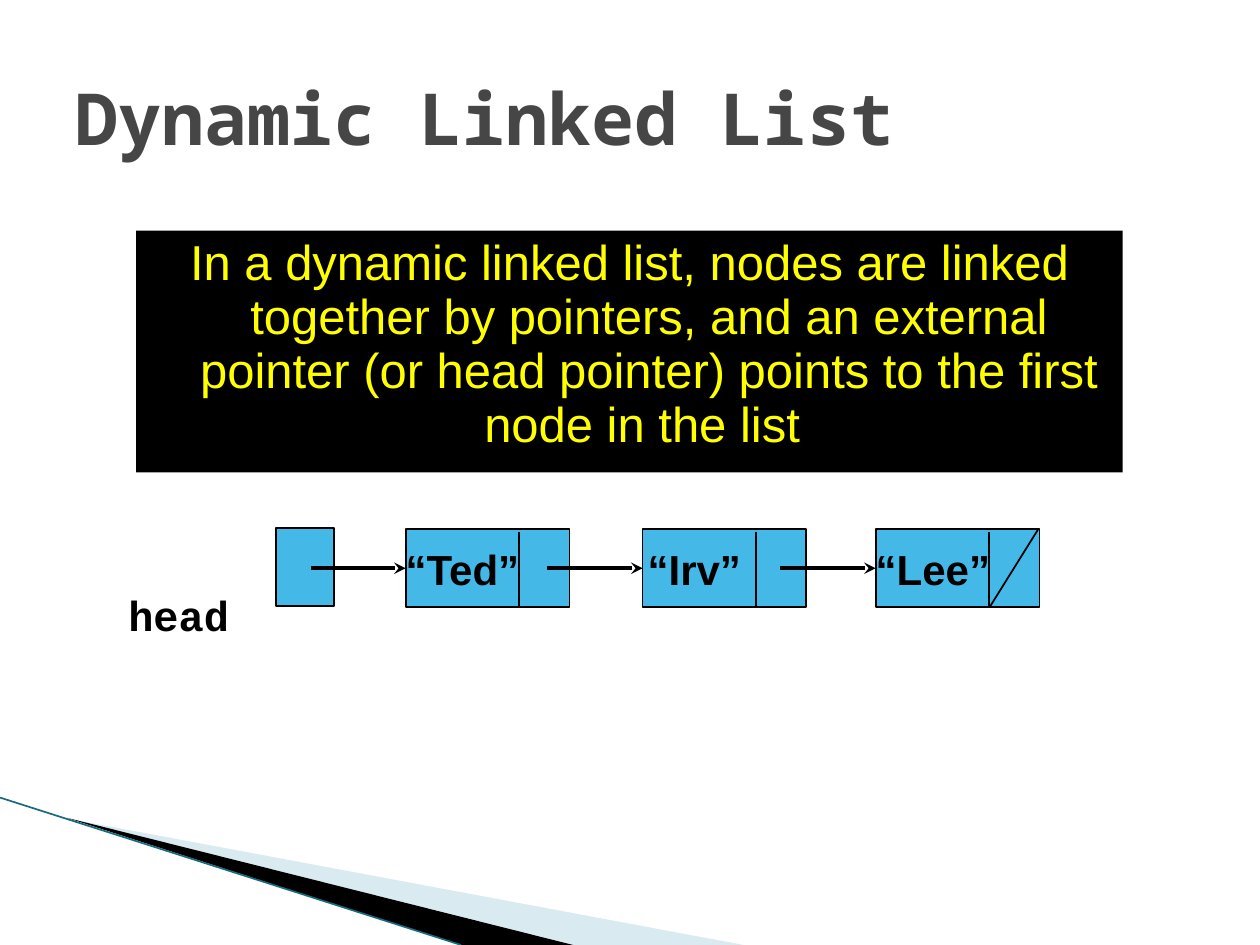
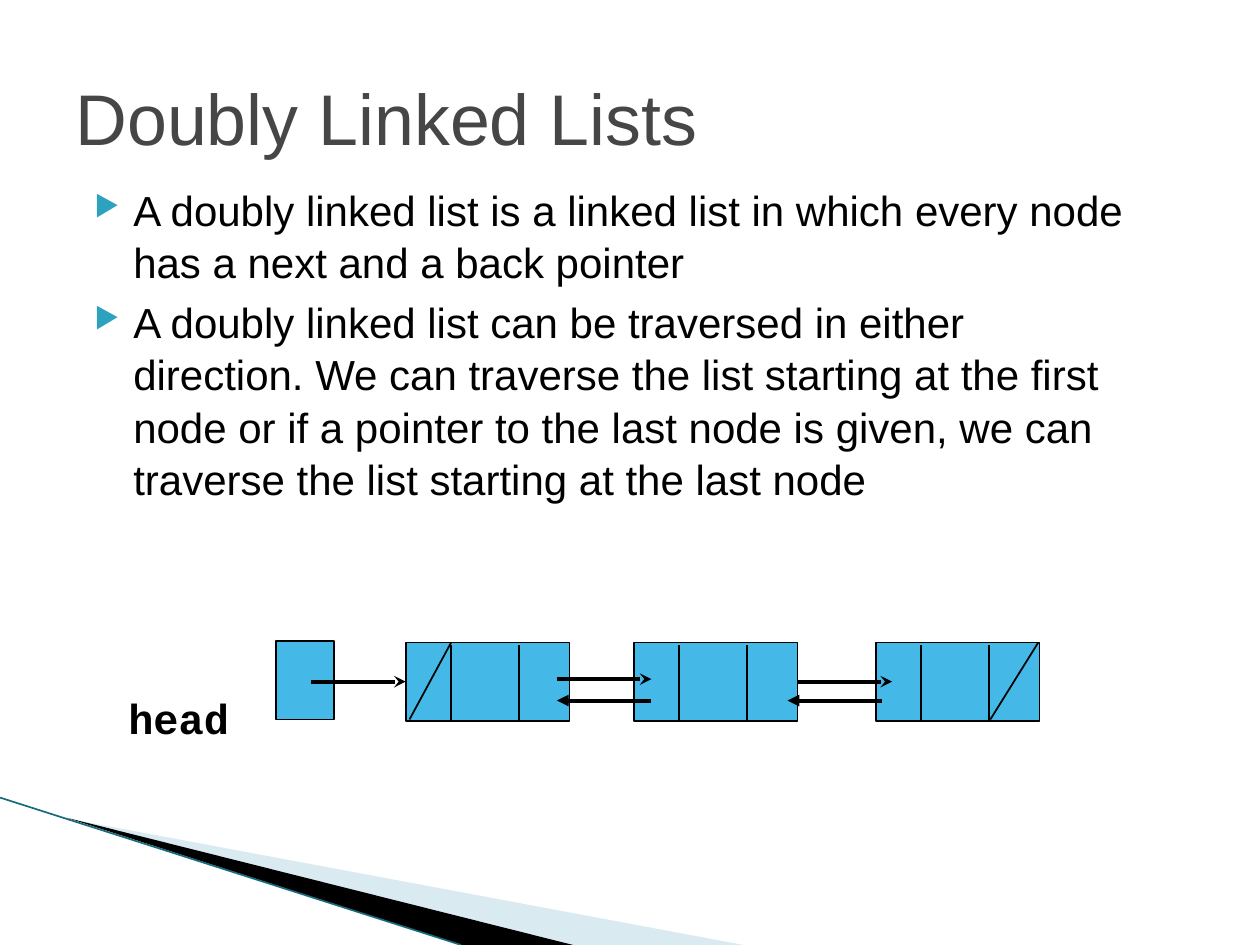
from pptx import Presentation
from pptx.dml.color import RGBColor
from pptx.enum.shapes import MSO_CONNECTOR, MSO_SHAPE
from pptx.enum.text import MSO_ANCHOR, PP_ALIGN
from pptx.oxml.ns import qn
from pptx.util import Inches, Pt
from lxml import etree

WHITE = RGBColor(0xFF, 0xFF, 0xFF)
BLACK = RGBColor(0, 0, 0)
YELLOW = RGBColor(0xFF, 0xFF, 0)
GREY = RGBColor(0x46, 0x46, 0x46)
NODE_BLUE = RGBColor(0x44, 0xB9, 0xE8)
PALE_BLUE = RGBColor(0xA0, 0xCB, 0xDC)
TEAL = RGBColor(0x17, 0x6B, 0x7E)
BULLET_HEX = "2DA2BF"

RECT = MSO_SHAPE.RECTANGLE
STRAIGHT = MSO_CONNECTOR.STRAIGHT
TOP, MIDDLE = MSO_ANCHOR.TOP, MSO_ANCHOR.MIDDLE
LEFT, CENTER = PP_ALIGN.LEFT, PP_ALIGN.CENTER
LEFT_SIDE, RIGHT_SIDE = 1, 3

NODE_W, NODE_H = 1.3, 0.62
BACK_X, NEXT_X = 0.36, 0.9
HANGING = 0.31
LABEL = {"name": "Arial", "size": Pt(24), "bold": True, "color": BLACK}
BODY = {"name": "Arial", "size": Pt(24), "color": BLACK}
CODE = {"name": "Courier New", "size": Pt(24), "bold": True, "color": BLACK}
CALLOUT = {"name": "Arial", "size": Pt(28), "color": YELLOW}
TITLE = {"name": "Arial", "size": Pt(41), "color": GREY}
CODE_TITLE = {**TITLE, "name": "Noto Sans Mono", "bold": True}


def sub(parent, tag, **attrs):
    el = etree.SubElement(parent, qn(tag))
    for key, value in attrs.items():
        el.set(key, value)
    return el


class Deck:
    def __init__(self):
        self.prs = Presentation()
        self.prs.slide_width = Inches(10)
        self.prs.slide_height = Inches(7.5)
        self.s = None

    def slide(self, title, style):
        self.s = self.prs.slides.add_slide(self.prs.slide_layouts[6])
        fill = self.s.background.fill
        fill.solid()
        fill.fore_color.rgb = WHITE
        self.wedge([(0.55, 6.5), (5.9, 7.5), (4.56, 7.5)], PALE_BLUE, 40)
        self.wedge([(0.53, 6.49), (4.55, 7.5), (3.66, 7.5)], BLACK)
        self.line((0, 6.33), (3.66, 7.5), TEAL, 0.95)
        self.text(title, 0.5, 0.3, 9, 1.25, style, MIDDLE)

    def wedge(self, points, color, opacity=100):
        (x, y), *rest = [(Inches(px), Inches(py)) for px, py in points]
        fb = self.s.shapes.build_freeform(x, y)
        fb.add_line_segments(rest, close=True)
        sp = fb.convert_to_shape()
        self.paint(sp, color)
        if opacity < 100:
            clr = sp.fill._xPr.find(qn("a:solidFill"))[0]
            sub(clr, "a:alpha", val=str(opacity * 1000))

    def paint(self, sp, color, outlined=False):
        sp.shadow.inherit = False
        sp.fill.solid()
        sp.fill.fore_color.rgb = color
        if outlined:
            sp.line.color.rgb = BLACK
            sp.line.width = Pt(1)
        else:
            sp.line.fill.background()

    def rect(self, x, y, w, h, color, outlined=False):
        sp = self.s.shapes.add_shape(RECT, *map(Inches, (x, y, w, h)))
        self.paint(sp, color, outlined)
        return sp

    def line(self, start, end, color=BLACK, width=1, head=None, tail=None):
        ends = map(Inches, (*start, *end))
        cxn = self.s.shapes.add_connector(STRAIGHT, *ends)
        cxn.line.color.rgb = color
        cxn.line.width = Pt(width)
        ln = cxn.line._get_or_add_ln()
        for tag, kind in (("a:headEnd", head), ("a:tailEnd", tail)):
            if kind:
                sub(ln, tag, type=kind)
        sub(cxn._element.spPr, "a:effectLst")
        return cxn

    def arrow(self, x, y, length=0.75, back=False):
        ends = {"head": "triangle"} if back else {"tail": "stealth"}
        return self.line((x, y), (x + length, y), width=2.25, **ends)

    def format(self, p, style, align=LEFT):
        p.alignment = align
        font = p.runs[0].font
        for key, value in style.items():
            if key == "color":
                font.color.rgb = value
            else:
                setattr(font, key, value)

    def fill_text(self, tf, text, style, anchor=TOP, align=LEFT, wrap=True):
        tf.word_wrap = wrap
        tf.vertical_anchor = anchor
        p = tf.paragraphs[0]
        p.add_run().text = text
        self.format(p, style, align)
        return p

    def text(self, text, x, y, w, h, style, anchor=TOP):
        sp = self.s.shapes.add_textbox(*map(Inches, (x, y, w, h)))
        self.fill_text(sp.text_frame, text, style, anchor)

    def hang(self, p):
        pPr = p._p.get_or_add_pPr()
        pPr.set("marL", str(Inches(HANGING)))
        pPr.set("indent", str(-Inches(HANGING)))
        return pPr

    def callout(self, text, x, y, w, h):
        sp = self.rect(x, y, w, h, BLACK)
        p = self.fill_text(sp.text_frame, text, CALLOUT, align=CENTER)
        self.hang(p)
        p.line_spacing = 0.92

    def bullets(self, items, x, y, w, h):
        sp = self.s.shapes.add_textbox(*map(Inches, (x, y, w, h)))
        tf = sp.text_frame
        tf.word_wrap = True
        for i, item in enumerate(items):
            p = tf.add_paragraph() if i else tf.paragraphs[0]
            pPr = self.hang(p)
            sub(sub(pPr, "a:buClr"), "a:srgbClr", val=BULLET_HEX)
            sub(pPr, "a:buSzPct", val="68000")
            sub(pPr, "a:buChar", char="▶")
            p.add_run().text = item
            self.format(p, BODY)
            p.line_spacing = 1.04
            if i:
                p.space_before = Pt(4)

    def node(self, x, y, dividers, slash=None, label=None, inset=0.0):
        sp = self.rect(x, y, NODE_W, NODE_H, NODE_BLUE, True)
        for dx in dividers:
            self.line((x + dx, y + 0.02), (x + dx, y + NODE_H))
        if slash:
            upper, lower = slash
            self.line((x + upper, y), (x + lower, y + NODE_H - 0.01))
        if label:
            tf = sp.text_frame
            tf.margin_left = Inches(inset)
            self.fill_text(tf, label, LABEL, MIDDLE, wrap=False)
        return sp

    def head(self, y, label_y):
        self.rect(2.19, y - 0.01, 0.46, NODE_H, NODE_BLUE, True)
        self.text("head", 0.92, label_y, 1.2, 0.5, CODE)


def dynamic_list(deck):
    deck.slide("Dynamic Linked List", CODE_TITLE)
    y = 4.2
    mid = y + NODE_H / 2
    deck.head(y, 4.63)
    end_slash = (1.29, NEXT_X + 0.01)
    nodes = [
        deck.node(3.22, y, [NEXT_X], label="“Ted”"),
        deck.node(5.1, y, [NEXT_X], label="“Irv”", inset=0.04),
        deck.node(6.95, y, [NEXT_X], end_slash, "“Lee”"),
    ]
    for x, node in zip((2.47, 4.34, 6.19), nodes):
        deck.arrow(x, mid).end_connect(node, LEFT_SIDE)
    deck.callout(
        "In a dynamic linked list, nodes are linked together by pointers, "
        "and an external pointer (or head pointer) points to the first "
        "node in the list ", 1.08, 1.83, 7.83, 1.92)


def doubly_linked(deck):
    deck.slide("Doubly Linked Lists", TITLE)
    deck.bullets([
        "A doubly linked list is a linked list in which every node has a "
        "next and a back pointer",
        "A doubly linked list can be traversed in either direction. We can "
        "traverse the list starting at the first node or if a pointer to "
        "the last node is given, we can traverse the list starting at the "
        "last node",
    ], 0.65, 1.4, 8.5, 3.2)
    y = 5.1
    mid = y + NODE_H / 2
    deck.head(y, 5.45)
    dividers = [BACK_X, NEXT_X]
    slashes = [(BACK_X, 0.03), None, (1.29, NEXT_X + 0.01)]
    first, second, _ = [deck.node(x, y, dividers, slash)
                        for x, slash in zip((3.22, 5.03, 6.95), slashes)]
    deck.arrow(2.47, mid).end_connect(first, LEFT_SIDE)
    deck.arrow(4.42, 5.39)
    deck.arrow(6.33, mid).begin_connect(second, RIGHT_SIDE)
    for x in (4.42, 6.25):
        deck.arrow(x, 5.56, back=True)


def main():
    deck = Deck()
    dynamic_list(deck)
    doubly_linked(deck)
    deck.prs.save("out.pptx")


if __name__ == "__main__":
    main()
